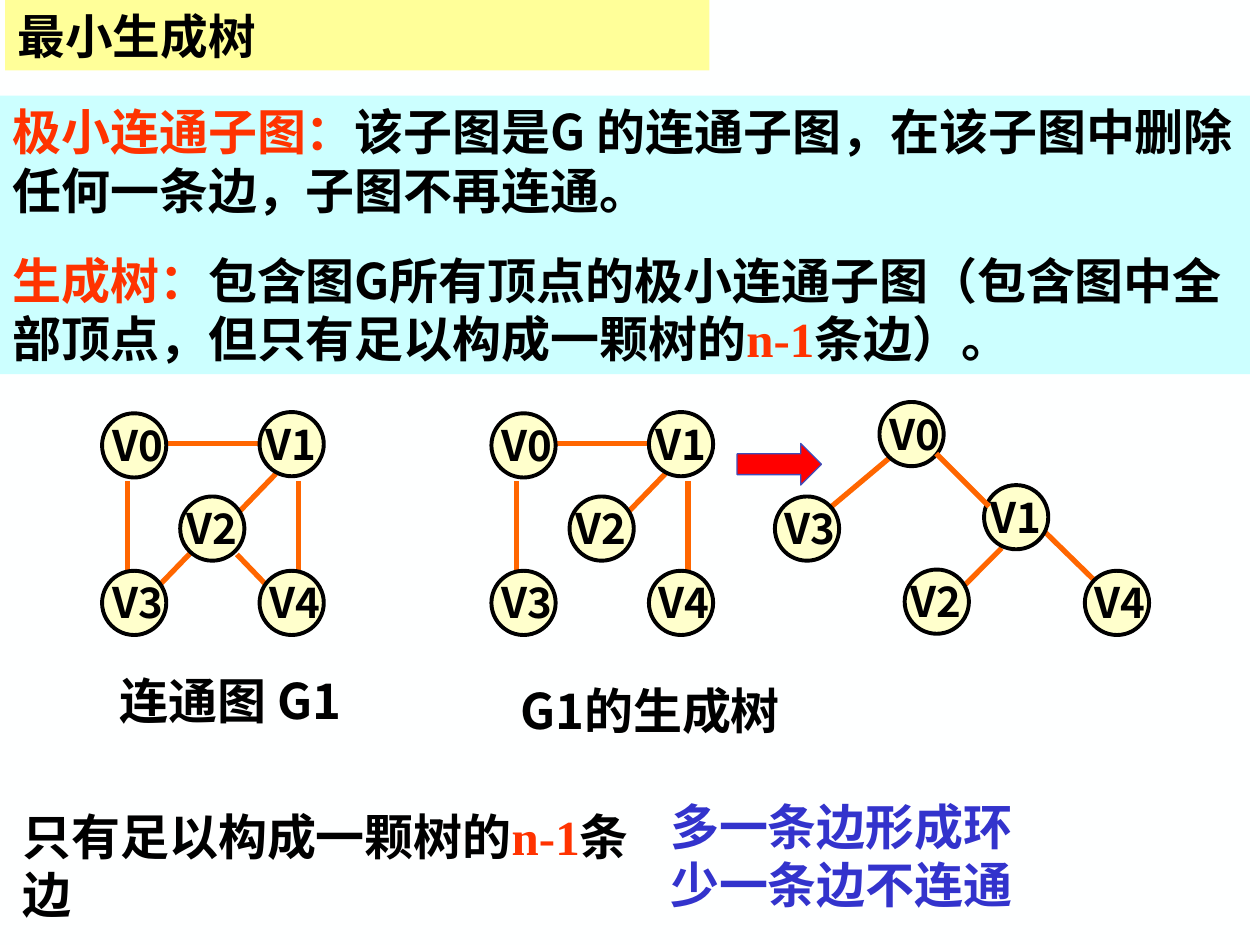
from dataclasses import dataclass

from lxml import etree
from pptx import Presentation
from pptx.dml.color import RGBColor
from pptx.enum.shapes import MSO_CONNECTOR as CONN, MSO_SHAPE as SHAPE
from pptx.enum.text import MSO_ANCHOR as ANCHOR, PP_ALIGN as ALIGN
from pptx.oxml.ns import qn
from pptx.util import Inches, Pt


@dataclass(frozen=True)
class Theme:
    """Colours, fonts and type sizes of the slide."""
    paper: str = "FEFFFF"
    title_fill: str = "FFFF99"
    body_fill: str = "CCFFFF"
    node_fill: str = "FFFFCC"
    ink: str = "000000"
    key: str = "FF3300"
    note: str = "3333CC"
    edge: str = "FF6600"
    arrow: str = "FF0000"
    arrow_line: str = "3E4DBA"
    sans: str = "Noto Sans CJK SC"
    term: str = "DejaVu Sans"
    serif: str = "Times New Roman"
    title: float = 27.2
    text: float = 28
    label: float = 24
    leading: float = 1.2


T = Theme()
LABEL_SHIFT = {"V0": 0.05, "V1": 0.08, "V2": 0.08, "V3": 0.05, "V4": 0.05}
SQUARE = {"V0": (0, 0.01), "V4": (1.25, 1.26), "V3": (0, 1.26),
          "V1": (1.25, 0), "V2": (0.62, 0.67)}
TREE_EDGES = [(0.2, 0.55, 0.2, 1.27), (0.5, 0.25, 1.32, 0.25),
              (1.56, 0.55, 1.56, 1.27), (1.38, 0.49, 1.09, 0.79)]
CYCLE_EDGES = [(0.73, 1.09, 0.44, 1.39), (1.07, 1.13, 1.32, 1.39)]
ROOTED = {"V0": (6.98, 3.19), "V4": (8.61, 4.53), "V3": (6.15, 3.94),
          "V1": (7.81, 3.85), "V2": (7.18, 4.52)}
ROOTED_EDGES = [(7.1, 3.6, 6.6, 4.02), (8.26, 4.19, 8.68, 4.6), (7.95, 4.35, 7.65, 4.65)]
ROOT_TO_V1 = [(7.43, 3.6, 7.85, 4.02)]


def rgb(value):
    """Return a colour from its hex value."""
    return RGBColor.from_string(value)


def write(tf, paragraphs, size=T.text, align=ALIGN.LEFT, gap=0):
    """Fill a text frame with paragraphs of (text, colour, font) runs."""
    tf.word_wrap = True
    for i, runs in enumerate(paragraphs):
        p = tf.add_paragraph() if i else tf.paragraphs[0]
        p.alignment = align
        p.line_spacing = Pt(size * T.leading)
        p.space_before = Pt(gap if i else 0)
        p.font.size = Pt(size)
        p.font.bold = True
        for text, colour, font in runs:
            r = p.add_run()
            r.text = text
            r.font.color.rgb = rgb(colour)
            r.font.name = font
            ea = etree.SubElement(r._r.get_or_add_rPr(), qn("a:ea"))
            ea.set("typeface", T.sans)


def add_text(s, box, paragraphs, **style):
    """Add a wrapped text box."""
    tf = s.shapes.add_textbox(*map(Inches, box)).text_frame
    write(tf, paragraphs, **style)
    return tf


def add_shape(s, kind, box, fill, line=None, width=1):
    """Add a flat preset shape with an optional outline."""
    sp = s.shapes.add_shape(kind, *map(Inches, box))
    sp.shadow.inherit = False
    sp.fill.solid()
    sp.fill.fore_color.rgb = rgb(fill)
    if line:
        sp.line.color.rgb = rgb(line)
        sp.line.width = Pt(width)
    else:
        sp.line.fill.background()
    return sp


def add_panel(s, box, fill, paragraphs, anchor, **style):
    """Add a filled rectangle with text."""
    tf = add_shape(s, SHAPE.RECTANGLE, box, fill).text_frame
    tf.vertical_anchor = anchor
    write(tf, paragraphs, **style)


def add_edges(s, edges, left=0, top=0):
    """Draw edges relative to a graph's corner."""
    for x1, y1, x2, y2 in edges:
        ends = (left + x1, top + y1, left + x2, top + y2)
        line = s.shapes.add_connector(CONN.STRAIGHT, *map(Inches, ends))
        line.line.color.rgb = rgb(T.edge)
        line.line.width = Pt(3)
        etree.SubElement(line._element.spPr, qn("a:effectLst"))


def add_graph(s, nodes, edges, left=0, top=0):
    """Draw a graph with its labelled nodes above its edges."""
    add_edges(s, edges, left, top)
    for name, (dx, dy) in nodes.items():
        x, y = left + dx, top + dy
        add_shape(s, SHAPE.OVAL, (x, y, 0.51, 0.51), T.node_fill, T.ink, 2.25)
        tf = add_text(s, (x - LABEL_SHIFT[name], y, 0.71, 0.5),
                      [[(name, T.ink, T.sans)]], size=T.label)
        tf.margin_left = Inches(0.13)


def main():
    """Build and save the slide."""
    prs = Presentation()
    prs.slide_width, prs.slide_height = Inches(10), Inches(7.5)
    s = prs.slides.add_slide(prs.slide_layouts[6])
    s.background.fill.solid()
    s.background.fill.fore_color.rgb = rgb(T.paper)

    count = ("n-1", T.key, T.serif)
    add_panel(s, (0, 0.76, 9.92, 2.21), T.body_fill, [
        [("极小连通子图", T.key, T.term), ("：", T.key, T.sans),
         ("该子图是G 的连通子图，在该子图中删除任何一条边，子图不再连通。", T.ink, T.sans)],
        [("生成树：", T.key, T.term),
         ("包含图G所有顶点的极小连通子图（包含图中全部顶点，但只有足以构成一颗树的", T.ink, T.sans),
         count, ("条边）", T.ink, T.serif), ("。", T.ink, T.sans)],
    ], ANCHOR.TOP, gap=17.5)

    for left, top, caption in [(3.93, 5.35, "G1的生成树"), (0.6, 5.27, "连通图 G1")]:
        add_text(s, (left, top, 2.46, 0.57), [[(caption, T.ink, T.sans)]],
                 align=ALIGN.CENTER)

    add_graph(s, SQUARE, TREE_EDGES, 3.9, 3.27)
    add_graph(s, SQUARE, TREE_EDGES + CYCLE_EDGES, 0.81, 3.27)
    add_graph(s, ROOTED, ROOTED_EDGES)
    add_edges(s, ROOT_TO_V1)
    add_shape(s, SHAPE.RIGHT_ARROW, (5.85, 3.52, 0.67, 0.33), T.arrow, T.arrow_line, 0.75)

    add_panel(s, (0.04, 0, 5.59, 0.56), T.title_fill,
              [[("最小生成树", T.ink, T.sans)]], ANCHOR.MIDDLE, size=T.title)
    add_text(s, (5.22, 6.27, 4.19, 1.04),
             [[(line, T.note, T.serif)] for line in ("多一条边形成环", "少一条边不连通")])
    add_text(s, (0.08, 6.35, 5.07, 1.04),
             [[("只有足以构成一颗树的", T.ink, T.sans), count, ("条边", T.ink, T.serif)]])
    prs.save("out.pptx")


if __name__ == "__main__":
    main()
